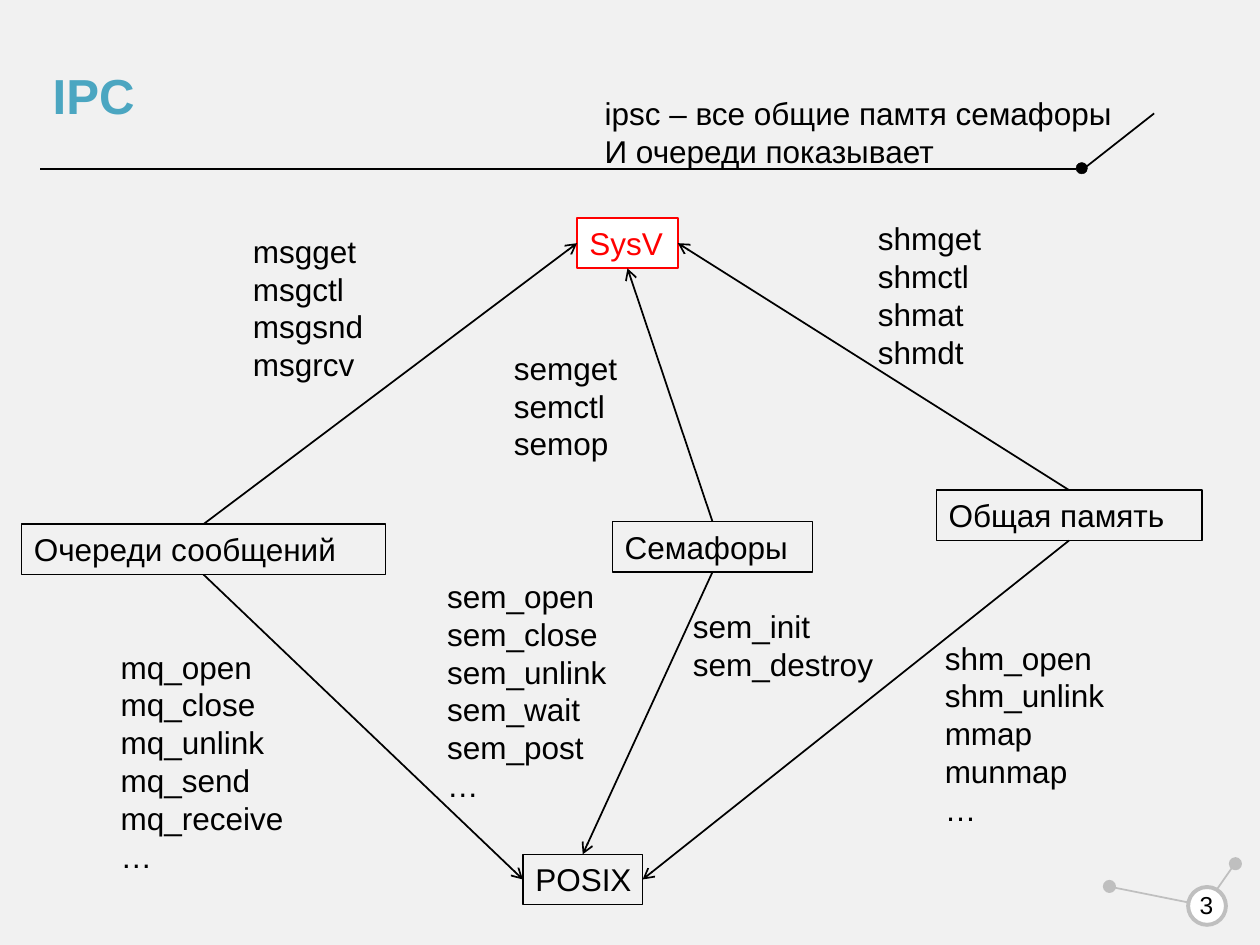
from dataclasses import dataclass

from lxml import etree
from pptx import Presentation
from pptx.dml.color import RGBColor
from pptx.enum import shapes, text
from pptx.oxml.ns import qn
from pptx.util import Inches, Pt


@dataclass(frozen=True)
class Theme:
    font: str = "Arial"
    background: str = "F1F1F1"
    ink: str = "000000"
    title: str = "4BA6C1"
    accent: str = "FF0000"
    muted: str = "BFBFBF"
    paper: str = "FFFFFF"
    title_size: float = 28.1
    body_size: float = 18
    number_size: float = 14


@dataclass(frozen=True)
class Node:
    label: str
    left: float
    top: float
    width: float
    color: str = "000000"
    fill: str | None = None
    line_width: float = 0.75


@dataclass(frozen=True)
class Calls:
    left: float
    top: float
    width: float
    names: str


THEME = Theme()
NODE_HEIGHT = 0.4
TOP, LEFT, BOTTOM, RIGHT = range(4)  # connection sites of a rectangle

NODES = {
    "queues": Node("Очереди сообщений", 0.17, 4.16, 2.89),
    "semaphores": Node("Семафоры", 4.86, 4.14, 1.59),
    "memory": Node("Общая память", 7.43, 3.89, 2.11),
    "posix": Node("POSIX", 4.15, 6.78, 0.95),
    "sysv": Node("SysV", 4.58, 1.73, 0.8, THEME.accent, THEME.paper, 1),
}

# Each mechanism points up to SysV and down to POSIX, at these sites
ARROWS = {
    "queues": (LEFT, LEFT),
    "semaphores": (BOTTOM, TOP),
    "memory": (RIGHT, RIGHT),
}

CALLS = [
    Calls(1.91, 1.79, 1.17, "msgget msgctl msgsnd msgrcv"),
    Calls(0.86, 5.09, 1.63, "mq_open mq_close mq_unlink mq_send mq_receive …"),
    Calls(3.98, 2.72, 1.13, "semget semctl semop"),
    Calls(3.45, 4.53, 1.61, "sem_open sem_close sem_unlink sem_wait sem_post …"),
    Calls(5.4, 4.77, 1.79, "sem_init sem_destroy"),
    Calls(6.87, 1.69, 1.14, "shmget shmctl shmat shmdt"),
    Calls(7.4, 5.02, 1.61, "shm_open shm_unlink mmap munmap …"),
]


def rgb(color: str) -> RGBColor:
    return RGBColor.from_string(color)


def write(sp, lines: list[str], size: float = THEME.body_size,
          color: str = THEME.ink, bold: bool = False,
          align=text.PP_ALIGN.LEFT, anchor=text.MSO_ANCHOR.TOP,
          right_inset: float = 0) -> None:
    tf = sp.text_frame
    tf.word_wrap = True
    tf.vertical_anchor = anchor
    tf.margin_right = Inches(right_inset)
    tf.text = "\n".join(lines)
    for p in tf.paragraphs:
        p.alignment = align
        p.font.name = THEME.font
        p.font.size = Pt(size)
        p.font.bold = bold
        p.font.color.rgb = rgb(color)


def add_text(slide, left: float, top: float, width: float, height: float,
             lines: list[str], **style) -> None:
    sp = slide.shapes.add_textbox(Inches(left), Inches(top),
                                  Inches(width), Inches(height))
    write(sp, lines, **style)


def add_preset(slide, kind, left: float, top: float, width: float,
               height: float, fill: str | None, line: str, line_width: float):
    sp = slide.shapes.add_shape(kind, Inches(left), Inches(top),
                                Inches(width), Inches(height))
    sp.shadow.inherit = False
    if fill:
        sp.fill.solid()
        sp.fill.fore_color.rgb = rgb(fill)
    else:
        sp.fill.background()
    sp.line.color.rgb = rgb(line)
    sp.line.width = Pt(line_width)
    return sp


def add_circle(slide, left: float, top: float, size: float, fill: str,
               line: str, line_width: float = 1) -> None:
    add_preset(slide, shapes.MSO_SHAPE.OVAL, left, top, size, size,
               fill, line, line_width)


def add_line(slide, x1: float, y1: float, x2: float, y2: float,
             color: str = THEME.ink):
    line = slide.shapes.add_connector(
        shapes.MSO_CONNECTOR.STRAIGHT,
        Inches(x1), Inches(y1), Inches(x2), Inches(y2))
    line.line.color.rgb = rgb(color)
    line.line.width = Pt(1)
    etree.SubElement(line._element.spPr, qn("a:effectLst"))
    return line


def add_arrow(slide, source, source_site: int, target, target_site: int) -> None:
    arrow = add_line(slide, 0, 0, 1, 1)
    arrow.begin_connect(source, source_site)
    arrow.end_connect(target, target_site)
    etree.SubElement(arrow.line._get_or_add_ln(), qn("a:tailEnd"), type="arrow")


def add_node(slide, node: Node):
    sp = add_preset(slide, shapes.MSO_SHAPE.RECTANGLE, node.left, node.top,
                    node.width, NODE_HEIGHT, node.fill, node.color,
                    node.line_width)
    write(sp, [node.label], color=node.color)
    return sp


def add_frame(slide) -> None:
    # Rule under the title
    add_line(slide, 0.32, 1.34, 8.54, 1.34)
    add_circle(slide, 8.54, 1.29, 0.09, THEME.ink, THEME.ink, 0.25)
    add_line(slide, 8.6, 1.34, 9.16, 0.9)

    # Slide number ornament
    for left, top in ((9.76, 6.81), (8.76, 6.99)):
        add_circle(slide, left, top, 0.09, THEME.muted, THEME.muted)
    add_line(slide, 9.79, 6.87, 9.65, 7.07, THEME.muted)
    add_line(slide, 8.82, 7.04, 9.52, 7.18, THEME.muted)
    add_circle(slide, 9.43, 7.04, 0.3, THEME.paper, THEME.muted, 2.25)

    # Title and slide number
    middle = text.MSO_ANCHOR.MIDDLE
    add_text(slide, 0.32, 0.28, 8.22, 0.95, ["IPC"], size=THEME.title_size,
             color=THEME.title, bold=True, anchor=middle)
    add_text(slide, 9.37, 6.98, 0.41, 0.4, ["3"], size=THEME.number_size,
             align=text.PP_ALIGN.CENTER, anchor=middle, right_inset=0.1)


def main() -> None:
    prs = Presentation()
    prs.slide_width, prs.slide_height = Inches(10), Inches(7.5)
    slide = prs.slides.add_slide(prs.slide_layouts[6])
    slide.background.fill.solid()
    slide.background.fill.fore_color.rgb = rgb(THEME.background)
    add_frame(slide)

    # Mechanisms and the two interfaces
    nodes = {key: add_node(slide, node) for key, node in NODES.items()}
    for key, (sysv_site, posix_site) in ARROWS.items():
        add_arrow(slide, nodes[key], TOP, nodes["sysv"], sysv_site)
        add_arrow(slide, nodes[key], BOTTOM, nodes["posix"], posix_site)

    # Function lists
    for calls in CALLS:
        names = calls.names.split()
        add_text(slide, calls.left, calls.top, calls.width,
                 0.1 + 0.3 * len(names), names)

    # Remark beside the title
    add_text(slide, 4.7, 0.7, 4.29, 0.66,
             ["ipsc – все общие памтя семафоры", "И очереди показывает"])

    prs.save("out.pptx")


if __name__ == "__main__":
    main()
